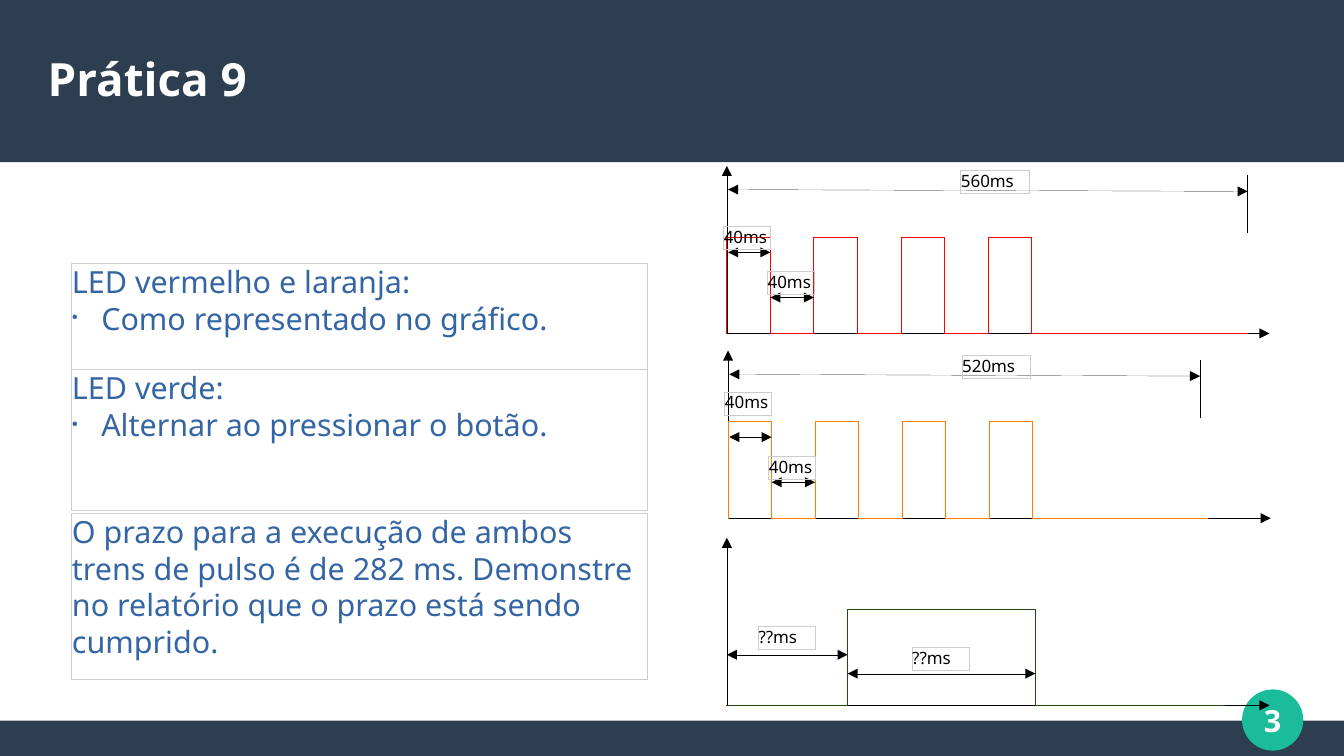
from itertools import pairwise

from lxml.etree import SubElement
from pptx import Presentation
from pptx.dml.color import RGBColor
from pptx.enum.shapes import MSO_CONNECTOR, MSO_SHAPE
from pptx.enum.text import MSO_ANCHOR, PP_ALIGN
from pptx.oxml.ns import qn
from pptx.util import Inches, Pt

NAVY = RGBColor(0x2C, 0x3E, 0x50)
TEAL = RGBColor(0x1A, 0xBC, 0x9C)
WHITE = RGBColor(0xFF, 0xFF, 0xFF)
BLACK = RGBColor(0x00, 0x00, 0x00)
BLUE = RGBColor(0x34, 0x65, 0xA4)
GRAY = RGBColor(0xCC, 0xCC, 0xCC)
RED = RGBColor(0xFF, 0x00, 0x00)
ORANGE = RGBColor(0xFF, 0x80, 0x00)
GREEN = RGBColor(0x22, 0x4B, 0x12)

FONT = "Noto Sans"
HAIRLINE = 0.01
COLUMNS, ROWS = 110.2, 62
CELL = Inches(0.1)
PULSE_WIDTH, PULSE_HEIGHT, PULSE_COUNT = 3.57, 7.9, 4
AXIS_WIDTH, AXIS_HEIGHT = 44.5, 13.75


def grid(*cells):
    return [round(cell * CELL) for cell in cells]


def write_text(frame, text, size=18, color=BLUE, bold=False, align=PP_ALIGN.LEFT,
               anchor=MSO_ANCHOR.TOP, bulleted=()):
    frame.margin_left = frame.margin_right = frame.margin_top = frame.margin_bottom = 0
    frame.word_wrap = True
    frame.vertical_anchor = anchor
    frame.text = text
    for index, paragraph in enumerate(frame.paragraphs):
        paragraph.alignment = align
        paragraph.line_spacing = 1.0
        paragraph.space_before = Pt(0)
        font = paragraph.runs[0].font
        font.name, font.size, font.bold = FONT, Pt(size), bold
        font.color.rgb = color
        if index in bulleted:
            add_bullet(paragraph, color)


def add_bullet(paragraph, color):
    properties = paragraph._p.get_or_add_pPr()
    properties.set("marL", str(Inches(0.24)))
    properties.set("indent", str(-Inches(0.24)))
    bullet_color = SubElement(properties, qn("a:buClr"))
    SubElement(bullet_color, qn("a:srgbClr"), val=str(color))
    SubElement(properties, qn("a:buSzPct"), val="25000")
    SubElement(properties, qn("a:buChar"), char="●")


def add_box(slide, box, kind=MSO_SHAPE.RECTANGLE, fill=None, line=None,
            line_width=HAIRLINE):
    shape = slide.shapes.add_shape(kind, *grid(*box))
    shape.shadow.inherit = False
    if fill is None:
        shape.fill.background()
    else:
        shape.fill.solid()
        shape.fill.fore_color.rgb = fill
    if line is None:
        shape.line.fill.background()
    else:
        shape.line.color.rgb = line
        shape.line.width = Pt(line_width)
    return shape


def add_line(slide, start, end, color=BLACK, arrows=()):
    connector = slide.shapes.add_connector(MSO_CONNECTOR.STRAIGHT, *grid(*start, *end))
    connector.line.color.rgb = color
    connector.line.width = Pt(HAIRLINE)
    for arrow in arrows:
        SubElement(connector.line._ln, qn(f"a:{arrow}"), type="triangle")
    SubElement(connector._element.spPr, qn("a:effectLst"))


def add_trace(slide, points, color):
    for start, end in pairwise(points):
        add_line(slide, start, end, color)


def add_dimension(slide, start, end):
    add_line(slide, start, end, arrows=("headEnd", "tailEnd"))


def add_label(slide, left, top, width, text):
    shape = add_box(slide, (left, top, width, 1.9), line=GRAY)
    write_text(shape.text_frame, text, size=10, color=BLACK)


def add_axes(slide, left, top):
    base = top + AXIS_HEIGHT
    add_line(slide, (left, base), (left, top), arrows=("tailEnd",))
    add_line(slide, (left, base), (left + AXIS_WIDTH, base), arrows=("tailEnd",))
    return base


def draw_frame(slide, page):
    add_box(slide, (0, 59.1, COLUMNS, ROWS - 59.1), fill=NAVY)
    add_box(slide, (0, 0, COLUMNS, 13.3), fill=NAVY)
    badge = add_box(slide, (101.9, 56.6, 4.9, 4.9), MSO_SHAPE.OVAL, TEAL, TEAL, 0.85)
    write_text(badge.text_frame, page, color=WHITE, bold=True,
               align=PP_ALIGN.CENTER, anchor=MSO_ANCHOR.MIDDLE)


def draw_title(slide, box, text):
    title = slide.shapes.title
    title.left, title.top, title.width, title.height = grid(*box)
    write_text(title.text_frame, text, size=27, color=WHITE, bold=True,
               anchor=MSO_ANCHOR.MIDDLE)


def draw_note(slide, box, text, bulleted=()):
    shape = add_box(slide, box, line=GRAY)
    write_text(shape.text_frame, text, bulleted=bulleted)


def draw_pulse_train(slide, left, top, color, period, tail, period_text, first_label):
    base = add_axes(slide, left, top)
    high = base - PULSE_HEIGHT
    points = []
    for pulse in range(PULSE_COUNT):
        rise = left + 2 * pulse * PULSE_WIDTH
        fall = rise + PULSE_WIDTH
        points += [(rise, base), (rise, high), (fall, high), (fall, base)]
    add_trace(slide, points + [(left + tail, base)], color)

    add_line(slide, (left + period, top + 5.5), (left + period, top + 0.8))
    add_dimension(slide, (left + 0.1, top + 1.95), (left + period, top + 2.1))
    add_label(slide, left + 19.2, top + 0.4, 5.6, period_text)

    add_dimension(slide, (left + 0.1, top + 7.1), (left + PULSE_WIDTH, top + 7.1))
    add_label(slide, left - 0.25, top + first_label, 3.85, "40ms")
    add_dimension(slide, (left + PULSE_WIDTH, top + 10.8),
                  (left + 2 * PULSE_WIDTH, top + 10.8))
    add_label(slide, left + 3.35, top + 8.65, 3.85, "40ms")


def draw_button_signal(slide, left, top):
    base = add_axes(slide, left, top)
    high = base - PULSE_HEIGHT
    rise, fall, end = left + 9.9, left + 25.3, left + 40.8
    add_trace(slide, [(end, base), (fall, base), (fall, high), (rise, high),
                      (rise, base), (left, base)], GREEN)
    add_label(slide, left + 2.6, top + 7.3, 4.7, "??ms")
    add_label(slide, left + 15.2, top + 9, 4.7, "??ms")
    add_dimension(slide, (left, top + 9.6), (rise, top + 9.6))
    add_dimension(slide, (rise, top + 11.15), (fall, top + 11.15))


def main():
    presentation = Presentation()
    presentation.slide_width, presentation.slide_height = grid(COLUMNS, ROWS)
    slide = presentation.slides.add_slide(presentation.slide_layouts[5])
    draw_frame(slide, "3")
    title = slide.shapes.title._element
    title.getparent().append(title)
    draw_title(slide, (3.9, 2.5, 102.4, 7.9), "Prática 9")

    draw_note(slide, (5.9, 21.6, 47.2, 8.7),
              "LED vermelho e laranja:\nComo representado no gráfico.", bulleted=(1,))
    draw_note(slide, (5.9, 30.3, 47.2, 11.6),
              "LED verde:\nAlternar ao pressionar o botão.", bulleted=(1,))
    draw_note(slide, (5.9, 42.1, 47.2, 13.6),
              "O prazo para a execução de ambos trens de pulso é de 282 ms. "
              "Demonstre no relatório que o prazo está sendo cumprido.")

    draw_pulse_train(slide, 59.6, 13.6, RED, 42.7, 42.7, "560ms", 5)
    draw_button_signal(slide, 59.6, 44.1)
    draw_pulse_train(slide, 59.7, 28.75, ORANGE, 38.7, 39.3, "520ms", 3.4)
    presentation.save("out.pptx")


if __name__ == "__main__":
    main()
